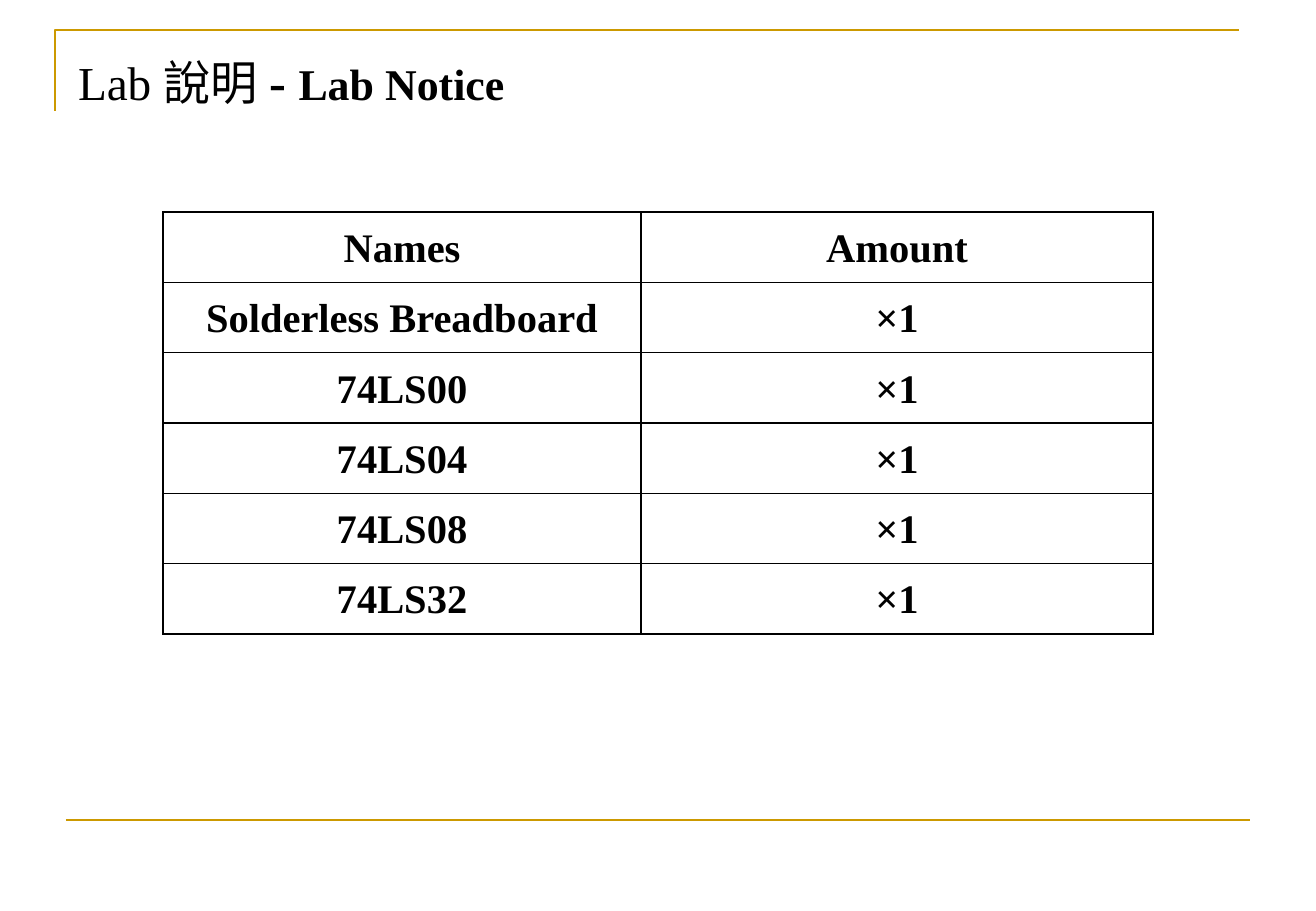
from dataclasses import dataclass

from lxml.etree import SubElement as Sub
from pptx import Presentation
from pptx.dml.color import RGBColor as RGB
from pptx.enum.shapes import MSO_CONNECTOR as Conn
from pptx.enum.text import MSO_ANCHOR as Anchor, PP_ALIGN as Align
from pptx.oxml.ns import qn
from pptx.util import Pt

PX = 7526


@dataclass(frozen=True)
class Theme:
    """Colours, type sizes and line widths of the slide."""
    font: str = "Times New Roman"
    ink: RGB = RGB(0, 0, 0)
    gold: RGB = RGB(0xCC, 0x99, 0)
    head: int = 28
    dash: int = 30
    sub: int = 26
    cell: int = 24
    rule: float = 1.5
    grid: int = 1


LOOK = Theme()
ROWS = [("Names", "Amount")] + [
    (name, "×1")
    for name in ("Solderless Breadboard", "74LS00", "74LS04", "74LS08", "74LS32")
]


def put(item, vals):
    """Set each attribute named in vals on item."""
    for key, val in vals.items():
        setattr(item, key, val)


def write(para, text, size, bold):
    """Add one run of text to a paragraph."""
    run = para.add_run()
    run.text = text
    put(run.font, {"name": LOOK.font, "size": Pt(size), "bold": bold})
    run.font.color.rgb = LOOK.ink


def gild(line):
    """Give a line the gold rule style."""
    line.color.rgb = LOOK.gold
    line.width = Pt(LOOK.rule)


def frame(slide, left, top, width, height):
    """Draw the corner rule along the left and top of the box."""
    pen = slide.shapes.build_freeform(left, top + height, scale=PX)
    pen.add_line_segments([(left, top), (left + width, top)], close=False)
    edge = pen.convert_to_shape()
    edge.shadow.inherit = False
    edge.fill.background()
    gild(edge.line)


def foot(slide, left, top, width):
    """Draw the rule at the foot of the slide."""
    ends = [v * PX for v in (left, top, left + width, top)]
    rule = slide.shapes.add_connector(Conn.STRAIGHT, *ends)
    Sub(rule._element.spPr, qn("a:effectLst"))
    gild(rule.line)


def title(slide, left, top, width, height):
    """Fill the title placeholder in the box."""
    shape = slide.shapes.title
    put(shape, {"left": left * PX, "top": top * PX,
                "width": width * PX, "height": height * PX})
    text = shape.text_frame
    put(text, {"vertical_anchor": Anchor.TOP, "word_wrap": True,
               "margin_left": 12 * PX, "margin_right": 12 * PX,
               "margin_top": 14 * PX, "margin_bottom": 6 * PX})
    para = text.paragraphs[0]
    put(para, {"alignment": Align.LEFT, "space_before": Pt(0)})
    for part in (("Lab 說明", LOOK.head, False), (" - ", LOOK.dash, True),
                 ("Lab Notice", LOOK.sub, True)):
        write(para, *part)


def rim(cell):
    """Draw the four borders of a cell."""
    props = cell._tc.get_or_add_tcPr()
    for side in "LRTB":
        line = Sub(props, qn(f"a:ln{side}"), w=str(Pt(LOOK.grid)))
        fill = Sub(line, qn("a:solidFill"))
        Sub(fill, qn("a:srgbClr"), val=str(LOOK.ink))


def parts(slide, left, top, cols, height):
    """Draw the parts table with the given column widths."""
    box = [v * PX for v in (left, top, sum(cols), height)]
    table = slide.shapes.add_table(len(ROWS), len(cols), *box).table
    put(table, {"first_row": False, "horz_banding": False})
    for col, width in zip(table.columns, cols):
        col.width = width * PX
    for r, row in enumerate(ROWS):
        table.rows[r].height = height * PX // len(ROWS)
        for c, text in enumerate(row):
            cell = table.cell(r, c)
            put(cell, {"vertical_anchor": Anchor.MIDDLE,
                       "margin_left": 10 * PX, "margin_right": 10 * PX,
                       "margin_top": 0, "margin_bottom": 0})
            rim(cell)
            cell.fill.background()
            para = cell.text_frame.paragraphs[0]
            put(para, {"alignment": Align.CENTER, "line_spacing": 1.07})
            write(para, text, LOOK.cell, True)


def main():
    """Build the slide and save it."""
    deck = Presentation()
    put(deck, {"slide_width": 1316 * PX, "slide_height": 911 * PX})
    slide = deck.slides.add_slide(deck.slide_layouts[5])
    frame(slide, 55, 30, 1184, 81)
    foot(slide, 66, 820, 1184)
    parts(slide, 163, 212, (478, 512), 422)
    title(slide, 66, 36, 1225, 160)
    deck.save("out.pptx")


if __name__ == "__main__":
    main()
